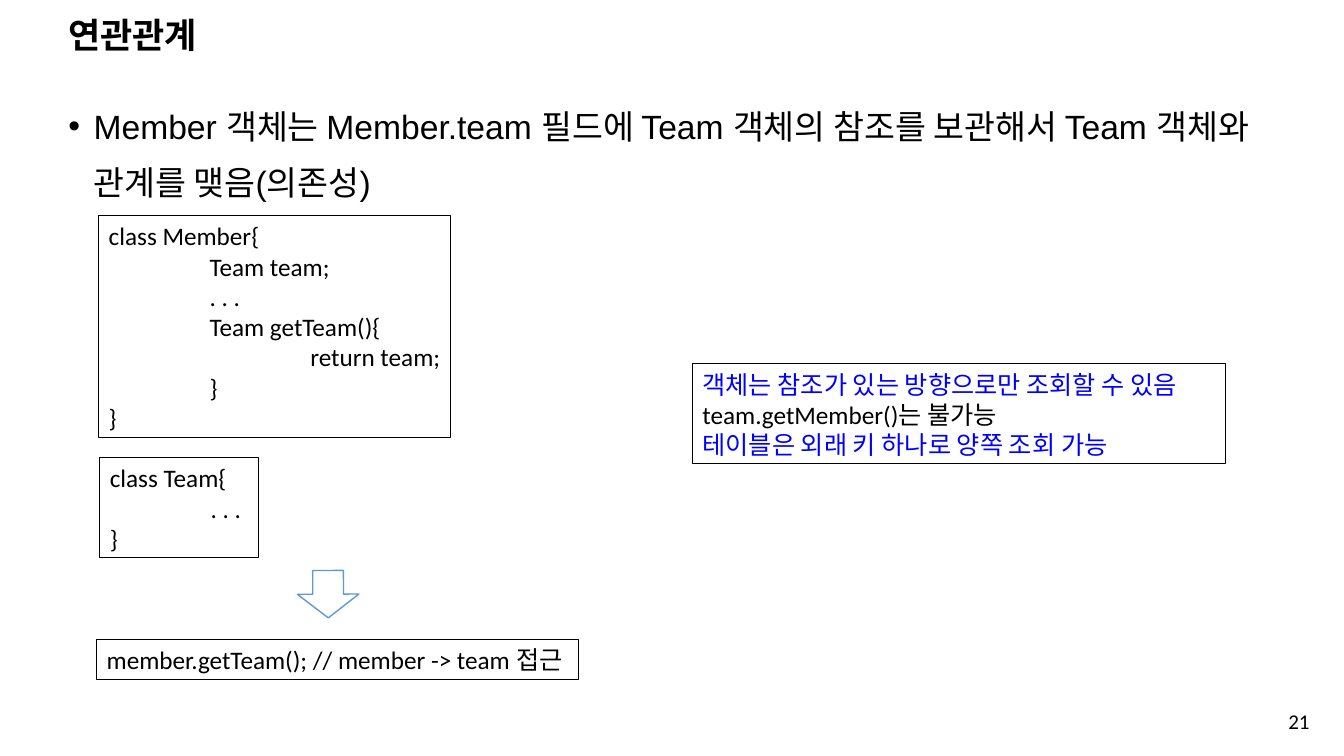
from dataclasses import dataclass

from lxml import etree
from pptx import Presentation
from pptx.dml.color import RGBColor
from pptx.enum.shapes import MSO_SHAPE
from pptx.enum.text import MSO_ANCHOR, MSO_AUTO_SIZE, PP_ALIGN
from pptx.oxml.ns import qn
from pptx.util import Emu, Inches, Pt

RECTANGLE, RIGHT_ARROW = MSO_SHAPE.RECTANGLE, MSO_SHAPE.RIGHT_ARROW
TOP, MIDDLE = MSO_ANCHOR.TOP, MSO_ANCHOR.MIDDLE
LEFT, RIGHT = PP_ALIGN.LEFT, PP_ALIGN.RIGHT
FIT_SHAPE, NO_FIT = MSO_AUTO_SIZE.SHAPE_TO_FIT_TEXT, MSO_AUTO_SIZE.NONE
TITLE_ONLY = 5

SLIDE_WIDTH, SLIDE_HEIGHT = Inches(13.33), Inches(7.5)
BLACK, WHITE, BLUE, ARROW_BLUE = "000000", "FFFFFF", "0000FF", "5B9BD5"
TAB_STOP = Inches(1)
BULLET_INDENT = Inches(0.25)


@dataclass(frozen=True)
class Area:
    """A rectangle in percent of the slide's width and height."""
    left: float
    top: float
    width: float
    height: float

    def emu(self) -> tuple[Emu, Emu, Emu, Emu]:
        return (Emu(round(SLIDE_WIDTH * self.left / 100)),
                Emu(round(SLIDE_HEIGHT * self.top / 100)),
                Emu(round(SLIDE_WIDTH * self.width / 100)),
                Emu(round(SLIDE_HEIGHT * self.height / 100)))


@dataclass(frozen=True)
class FramedText:
    area: Area
    lines: tuple[str, ...]
    colors: tuple[str, ...] = (BLACK,)


FRAMED_TEXTS = (
    FramedText(Area(7.35, 28.53, 26.18, 29.33), (
        "class Member{",
        "\tTeam team;",
        "\t. . .",
        "\tTeam getTeam(){",
        "\t\treturn team;",
        "\t}",
        "}",
    )),
    FramedText(Area(7.43, 60.53, 11.78, 13.2), ("class Team{", "\t. . .", "}")),
    FramedText(Area(7.2, 84.53, 35.85, 5.33),
               ("member.getTeam(); // member -> team 접근",)),
    FramedText(Area(51.53, 48.13, 39.68, 13.2), (
        "객체는 참조가 있는 방향으로만 조회할 수 있음",
        "team.getMember()는 불가능",
        "테이블은 외래 키 하나로 양쪽 조회 가능",
    ), (BLUE, BLACK, BLUE)),
)


def rgb(value: str) -> RGBColor:
    return RGBColor.from_string(value)


def add_tab_stops(paragraph, count: int) -> None:
    stops = etree.SubElement(paragraph._p.get_or_add_pPr(), qn("a:tabLst"))
    for number in range(1, count + 1):
        etree.SubElement(stops, qn("a:tab"), pos=str(TAB_STOP * number), algn="l")


def add_bullet(paragraph) -> None:
    properties = paragraph._p.get_or_add_pPr()
    properties.set("marL", str(BULLET_INDENT))
    properties.set("indent", str(-BULLET_INDENT))
    etree.SubElement(properties, qn("a:buFont"), typeface="Arial")
    etree.SubElement(properties, qn("a:buChar"), char="•")


def write_text(frame, *lines: str, size: float, font: str = "Calibri",
               colors: tuple[str, ...] = (BLACK,), bold: bool = False,
               align=LEFT, anchor=TOP, line_spacing: float = 1.0,
               bullet: bool = False, wrap: bool = True, fit=NO_FIT) -> None:
    """Fill a text frame with one paragraph a line, cycling through the colours."""
    frame.word_wrap = wrap
    frame.auto_size = fit
    frame.vertical_anchor = anchor
    frame.margin_left = frame.margin_right = Inches(0.1)
    frame.margin_top = frame.margin_bottom = Inches(0.05)
    for index, line in enumerate(lines):
        paragraph = frame.add_paragraph() if index else frame.paragraphs[0]
        paragraph.alignment = align
        paragraph.line_spacing = line_spacing
        if bullet:
            add_bullet(paragraph)
        if "\t" in line:
            add_tab_stops(paragraph, line.count("\t"))
        run = paragraph.add_run()
        run.text = line
        run.font.name = font
        run.font.size = Pt(size)
        run.font.bold = bold
        run.font.color.rgb = rgb(colors[index % len(colors)])


def add_framed_text(slide, framed: FramedText) -> None:
    frame_box = slide.shapes.add_shape(RECTANGLE, *framed.area.emu())
    frame_box.shadow.inherit = False
    frame_box.fill.background()
    frame_box.line.color.rgb = rgb(BLACK)
    frame_box.line.width = Pt(0.75)
    write_text(frame_box.text_frame, *framed.lines, size=18,
               colors=framed.colors, wrap=False, fit=FIT_SHAPE)


def add_down_arrow(slide, area: Area) -> None:
    arrow = slide.shapes.add_shape(RIGHT_ARROW, *area.emu())
    arrow.rotation = 89.7
    arrow.shadow.inherit = False
    arrow.fill.solid()
    arrow.fill.fore_color.rgb = rgb(WHITE)
    arrow.line.color.rgb = rgb(ARROW_BLUE)
    arrow.line.width = Pt(1)


def main() -> None:
    presentation = Presentation()
    presentation.slide_width, presentation.slide_height = SLIDE_WIDTH, SLIDE_HEIGHT
    slide = presentation.slides.add_slide(presentation.slide_layouts[TITLE_ONLY])

    title = slide.shapes.title
    title.left, title.top, title.width, title.height = Area(4.35, 2.4, 86.25, 5.07).emu()
    write_text(title.text_frame, "연관관계", size=25, font="Arial", bold=True,
               anchor=MIDDLE, line_spacing=0.9)

    statement = slide.shapes.add_textbox(*Area(4.35, 11.2, 92.93, 79.2).emu())
    write_text(statement.text_frame,
               "Member 객체는 Member.team 필드에 Team 객체의 참조를 보관해서 "
               "Team 객체와 관계를 맺음(의존성)",
               size=24, font="Arial", line_spacing=1.4, bullet=True)

    page_number = slide.shapes.add_textbox(*Area(75.68, 92.67, 22.5, 5.33).emu())
    write_text(page_number.text_frame, "21", size=15, align=RIGHT, anchor=MIDDLE)

    for framed in FRAMED_TEXTS:
        add_framed_text(slide, framed)
    add_down_arrow(slide, Area(22.65, 74.53, 3.53, 8.13))

    presentation.save("out.pptx")


if __name__ == "__main__":
    main()
